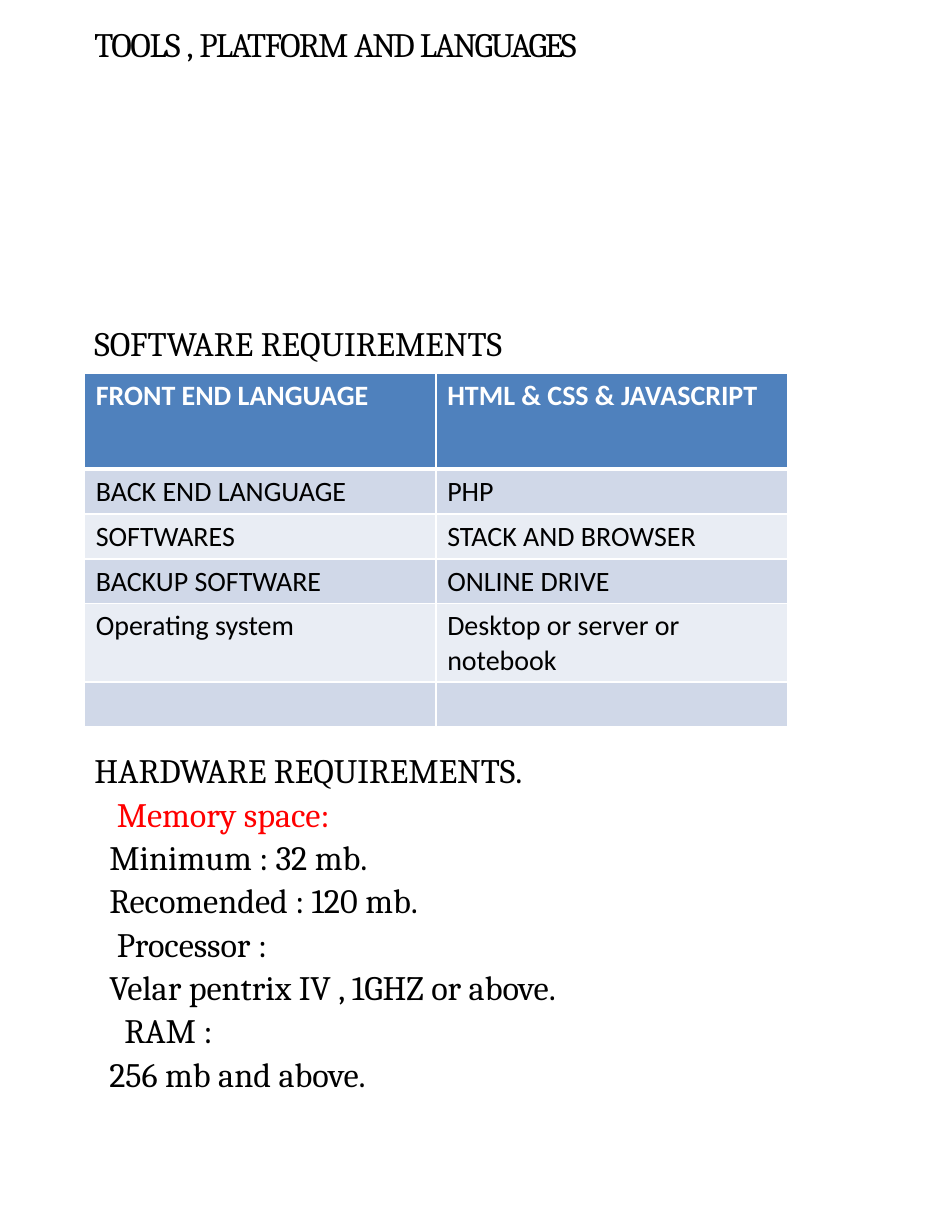
from lxml.etree import SubElement
from pptx import Presentation
from pptx.dml.color import RGBColor
from pptx.oxml.ns import qn
from pptx.util import Cm, Pt

COLORS = {
    "ink": "000000", "alert": "FF0000", "paper": "FFFFFF",
    "header": "4F81BD", "band_dark": "D0D8E8", "band_light": "E9EDF4",
}
LINE_PITCH = 27.4  # points from one body line to the next
LINE_GAP = 1.45    # points before each line
INDENT_STEP = 0.17

TITLE = [("TOOLS ", -0.9), (", ", -0.5), ("PLATFORM ", -1.1),
         ("AND ", -1.6), ("LANGUAGES", -1.4)]

# text, indent steps, empty lines above, colour
BODY = [
    ("SOFTWARE REQUIREMENTS", 0, 6, "ink"),
    ("HARDWARE REQUIREMENTS.", 0, 9, "ink"),
    ("Memory space:", 3, 0, "alert"),
    ("Minimum : 32 mb.", 2, 0, "ink"),
    ("Recomended : 120 mb.", 2, 0, "ink"),
    ("Processor :", 3, 0, "ink"),
    ("Velar pentrix IV , 1GHZ or above.", 2, 0, "ink"),
    ("RAM :", 4, 0, "ink"),
    ("256 mb and above.", 2, 0, "ink"),
]

SOFTWARE = [
    ("FRONT END LANGUAGE", "HTML & CSS & JAVASCRIPT"),
    ("BACK END LANGUAGE", "PHP"),
    ("SOFTWARES", "STACK AND BROWSER"),
    ("BACKUP SOFTWARE", "ONLINE DRIVE"),
    ("Operating system", "Desktop or server or notebook"),
    ("", ""),
]
ROW_HEIGHTS = [2.18, 1.01, 1.01, 1.01, 1.01, 1.01]


def rgb(name):
    return RGBColor.from_string(COLORS[name])


def add_text(paragraph, text, size=22, font="Cambria", color="ink",
             bold=False, spacing=0):
    run = paragraph.add_run()
    run.text = text
    run.font.size = Pt(size)
    run.font.name = font
    run.font.bold = bold
    run.font.color.rgb = rgb(color)
    if spacing:
        run._r.get_or_add_rPr().set("spc", str(round(spacing * 100)))


def set_border(cell, side, width, color="paper"):
    line = SubElement(cell._tc.get_or_add_tcPr(), qn(f"a:{side}"), w=str(Pt(width)))
    fill = SubElement(line, qn("a:solidFill"))
    SubElement(fill, qn("a:srgbClr"), val=COLORS[color])


class Page:
    def __init__(self, slide):
        self.slide = slide
        self.table_size = 18
        self.table_font = "Calibri"

    def requirements_text(self, left, top, width, height):
        frame = self.slide.shapes.add_textbox(
            Cm(left), Cm(top), Cm(width), Cm(height)).text_frame
        frame.word_wrap = True
        frame.margin_left = frame.margin_right = frame.margin_bottom = 0
        frame.margin_top = Cm(0.03)

        heading = frame.paragraphs[0]
        self.place(heading)
        for text, spacing in TITLE:
            add_text(heading, text, spacing=spacing)
        for text, steps, lines_above, color in BODY:
            paragraph = frame.add_paragraph()
            self.place(paragraph, steps, lines_above)
            add_text(paragraph, text, color=color)

    def place(self, paragraph, steps=0, lines_above=0):
        paragraph.space_before = Pt(LINE_GAP + lines_above * LINE_PITCH)
        margin = Cm(0.03 + steps * INDENT_STEP)
        paragraph._p.get_or_add_pPr().set("marL", str(margin))

    def table(self, left, top, width, rows, heights):
        columns = len(rows[0])
        table = self.slide.shapes.add_table(
            len(rows), columns, Cm(left), Cm(top), Cm(width), Cm(sum(heights))).table
        for column in table.columns:
            column.width = Cm(width / columns)
        for r, (texts, height) in enumerate(zip(rows, heights)):
            table.rows[r].height = Cm(height)
            for c, text in enumerate(texts):
                self.cell(table.cell(r, c), text, r)

    def cell(self, cell, text, row):
        is_header = row == 0
        # Borders come before the fill in the cell properties
        for side in ("lnL", "lnR", "lnT", "lnB"):
            thick = (is_header and side == "lnB") or (row == 1 and side == "lnT")
            set_border(cell, side, 3 if thick else 1)
        band = "band_dark" if row % 2 else "band_light"
        cell.fill.solid()
        cell.fill.fore_color.rgb = rgb("header" if is_header else band)
        paragraph = cell.text_frame.paragraphs[0]
        paragraph.font.size = Pt(self.table_size)
        if text:
            add_text(paragraph, text, size=self.table_size, font=self.table_font,
                     color="paper" if is_header else "ink", bold=is_header)


def main():
    deck = Presentation()
    deck.slide_width, deck.slide_height = Cm(21.59), Cm(27.94)
    page = Page(deck.slides.add_slide(deck.slide_layouts[6]))

    # Headings and hardware list
    page.requirements_text(2.11, 0.51, 16.36, 27.4)
    # Software table
    page.table(1.92, 8.46, 15.94, SOFTWARE, ROW_HEIGHTS)

    deck.save("out.pptx")


if __name__ == "__main__":
    main()
